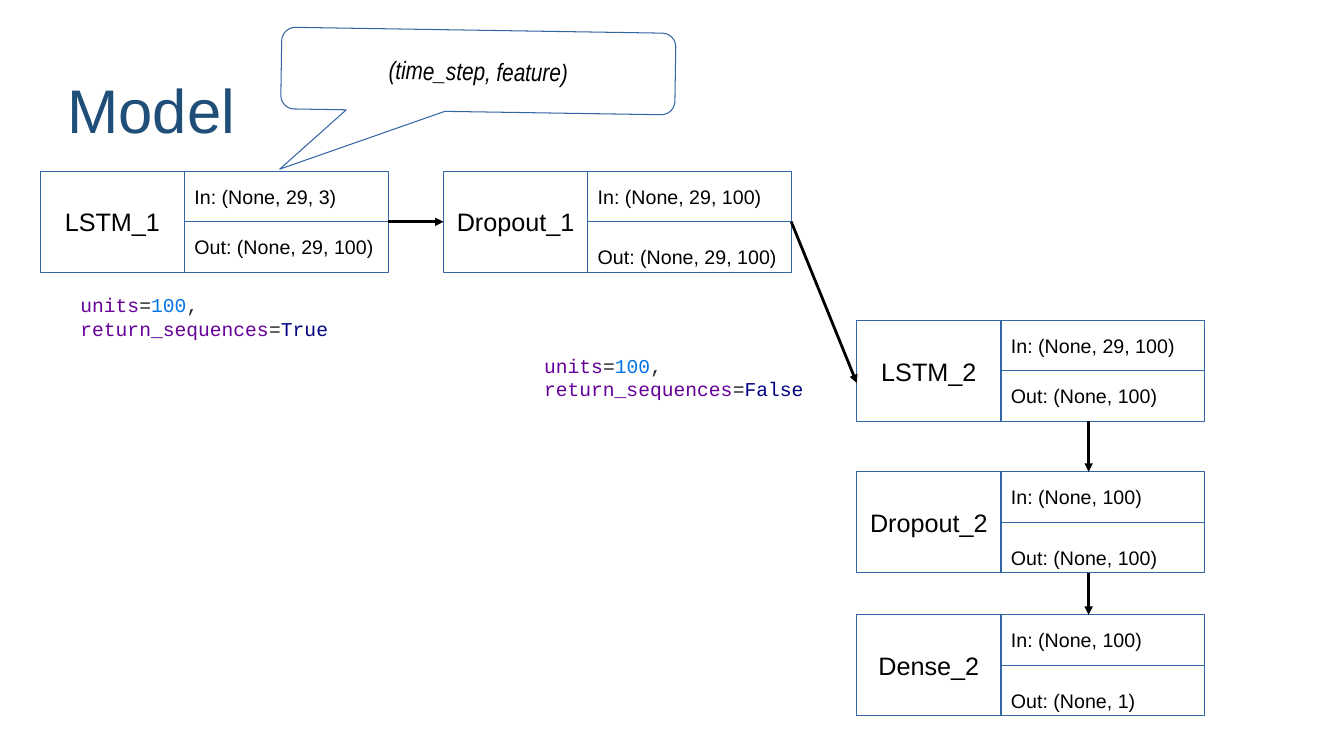
"""Build a slide showing the layers of an LSTM model."""
from dataclasses import dataclass

from lxml import etree
from pptx import Presentation
from pptx.dml.color import RGBColor
from pptx.enum.shapes import MSO_CONNECTOR, MSO_SHAPE
from pptx.enum.text import MSO_ANCHOR, PP_ALIGN
from pptx.oxml.ns import qn
from pptx.util import Pt

RECTANGLE = MSO_SHAPE.RECTANGLE
CALLOUT = MSO_SHAPE.ROUNDED_RECTANGULAR_CALLOUT
STRAIGHT = MSO_CONNECTOR.STRAIGHT
TOP, MIDDLE = MSO_ANCHOR.TOP, MSO_ANCHOR.MIDDLE
LEFT, CENTER = PP_ALIGN.LEFT, PP_ALIGN.CENTER
LEFT_SIDE = 1


@dataclass(frozen=True)
class Theme:
    """Colours, fonts and type sizes of the slide."""
    title: str = "1F4E79"
    text: str = "000000"
    fill: str = "FFFFFF"
    outline: str = "3465A4"
    argument: str = "660099"
    operator: str = "262626"
    number: str = "0073E6"
    keyword: str = "000080"
    sans: str = "Arial"
    narrow: str = "Arial Narrow"
    mono: str = "Courier New"
    title_size: int = 44
    name_size: int = 18
    detail_size: int = 14
    hairline: int = 0


THEME = Theme()
NAME_WIDTH, SHAPE_WIDTH, ROW_HEIGHT = 103, 145.4, 36
LAYERS = [
    ("LSTM_1", "(None, 29, 3)", "(None, 29, 100)", 28.8, 122.4, 9.4),
    ("Dropout_1", "(None, 29, 100)", "(None, 29, 100)", 316.8, 122.4, 16.6),
    ("LSTM_2", "(None, 29, 100)", "(None, 100)", 612, 229, 9.4),
    ("Dropout_2", "(None, 100)", "(None, 100)", 612, 337, 16.6),
    ("Dense_2", "(None, 100)", "(None, 1)", 612, 439.2, 16.6),
]
FLOW_X = 777.6


def set_font(font, size, color, face=THEME.sans):
    """Set the face, size and colour of a font."""
    font.name, font.size = face, Pt(size)
    font.color.rgb = RGBColor.from_string(color)


def add_box(slide, kind, text, box, size, align=CENTER, face=THEME.sans):
    """Add an outlined shape holding one line of text."""
    shape = slide.shapes.add_shape(kind, *map(Pt, box))
    shape.shadow.inherit = False
    shape.fill.solid()
    shape.fill.fore_color.rgb = RGBColor.from_string(THEME.fill)
    shape.line.color.rgb = RGBColor.from_string(THEME.outline)
    shape.line.width = Pt(THEME.hairline)
    frame = shape.text_frame
    frame.word_wrap = False
    frame.vertical_anchor = MIDDLE
    paragraph = frame.paragraphs[0]
    paragraph.text, paragraph.alignment = text, align
    set_font(paragraph.font, size, THEME.text, face)
    return shape


def add_layer(slide, name, shape_in, shape_out, left, top, out_inset):
    """Add a layer with its input and output shapes and return its name box."""
    name_box = add_box(slide, RECTANGLE, name,
                       (left, top, NAME_WIDTH, 2 * ROW_HEIGHT), THEME.name_size)
    cell_left = left + NAME_WIDTH
    add_box(slide, RECTANGLE, f"In: {shape_in}",
            (cell_left, top, SHAPE_WIDTH, ROW_HEIGHT), THEME.detail_size, LEFT)
    out_cell = add_box(slide, RECTANGLE, f"Out: {shape_out}",
                       (cell_left, top + ROW_HEIGHT, SHAPE_WIDTH, ROW_HEIGHT),
                       THEME.detail_size, LEFT)
    out_cell.text_frame.vertical_anchor = TOP
    out_cell.text_frame.margin_top = Pt(out_inset)
    out_cell.text_frame.margin_bottom = Pt(0)
    return name_box


def add_arrow(slide, start, end):
    """Add a thin arrow between two points."""
    arrow = slide.shapes.add_connector(STRAIGHT, *map(Pt, start + end))
    arrow.line.color.rgb = RGBColor.from_string(THEME.text)
    arrow.line.width = Pt(THEME.hairline)
    line = arrow.line._get_or_add_ln()
    etree.SubElement(line, qn("a:tailEnd"), type="triangle")
    etree.SubElement(arrow._element.spPr, qn("a:effectLst"))
    return arrow


def add_text(slide, box):
    """Add an empty wrapping text box and return its frame."""
    frame = slide.shapes.add_textbox(*map(Pt, box)).text_frame
    frame.word_wrap = True
    return frame


def add_title(slide, text):
    """Add the slide title."""
    frame = add_text(slide, (41, 28.8, 659.5, 104.4))
    frame.vertical_anchor = MIDDLE
    paragraph = frame.paragraphs[0]
    paragraph.text, paragraph.line_spacing = text, 0.9
    set_font(paragraph.font, THEME.title_size, THEME.title)


def add_arguments(slide, left, top, returns):
    """Add the coloured code arguments of an LSTM layer."""
    paragraph = add_text(slide, (left, top, 216, 39)).paragraphs[0]
    tokens = [("units", THEME.argument), ("=", THEME.operator),
              ("100", THEME.number), (", ", THEME.operator),
              ("return_sequences", THEME.argument), ("=", THEME.operator),
              (returns, THEME.keyword)]
    for token, color in tokens:
        run = paragraph.add_run()
        run.text = token
        set_font(run.font, THEME.detail_size, color, THEME.mono)


def add_callout(slide, text):
    """Add the tilted callout that explains the input shape."""
    callout = add_box(slide, CALLOUT, text, (200.9, 21.6, 281.5, 58.3),
                      THEME.name_size, face=THEME.narrow)
    callout.rotation = 0.9
    callout.adjustments[0] = -0.5
    callout.adjustments[1] = 1.24
    callout.text_frame.paragraphs[0].font.italic = True


def main():
    """Build the slide and save it."""
    deck = Presentation()
    deck.slide_width, deck.slide_height = Pt(960), Pt(540)
    slide = deck.slides.add_slide(deck.slide_layouts[6])
    add_title(slide, "Model")
    names = [add_layer(slide, *layer) for layer in LAYERS]

    lefts = [layer[3] for layer in LAYERS]
    tops = [layer[4] for layer in LAYERS]
    width, height = NAME_WIDTH + SHAPE_WIDTH, 2 * ROW_HEIGHT
    row_middle = tops[0] + ROW_HEIGHT
    to_dropout = add_arrow(slide, (lefts[0] + width, row_middle),
                           (lefts[1], row_middle))
    to_dropout.end_connect(names[1], LEFT_SIDE)
    add_arrow(slide, (lefts[1] + width, row_middle), (lefts[2], 273.6))
    for upper, lower in zip(tops[2:], tops[3:]):
        add_arrow(slide, (FLOW_X, upper + height), (FLOW_X, lower))

    add_callout(slide, "(time_step, feature)")
    add_arguments(slide, 50.4, 206, "True")
    add_arguments(slide, 381.6, 249, "False")
    deck.save("out.pptx")


if __name__ == "__main__":
    main()
